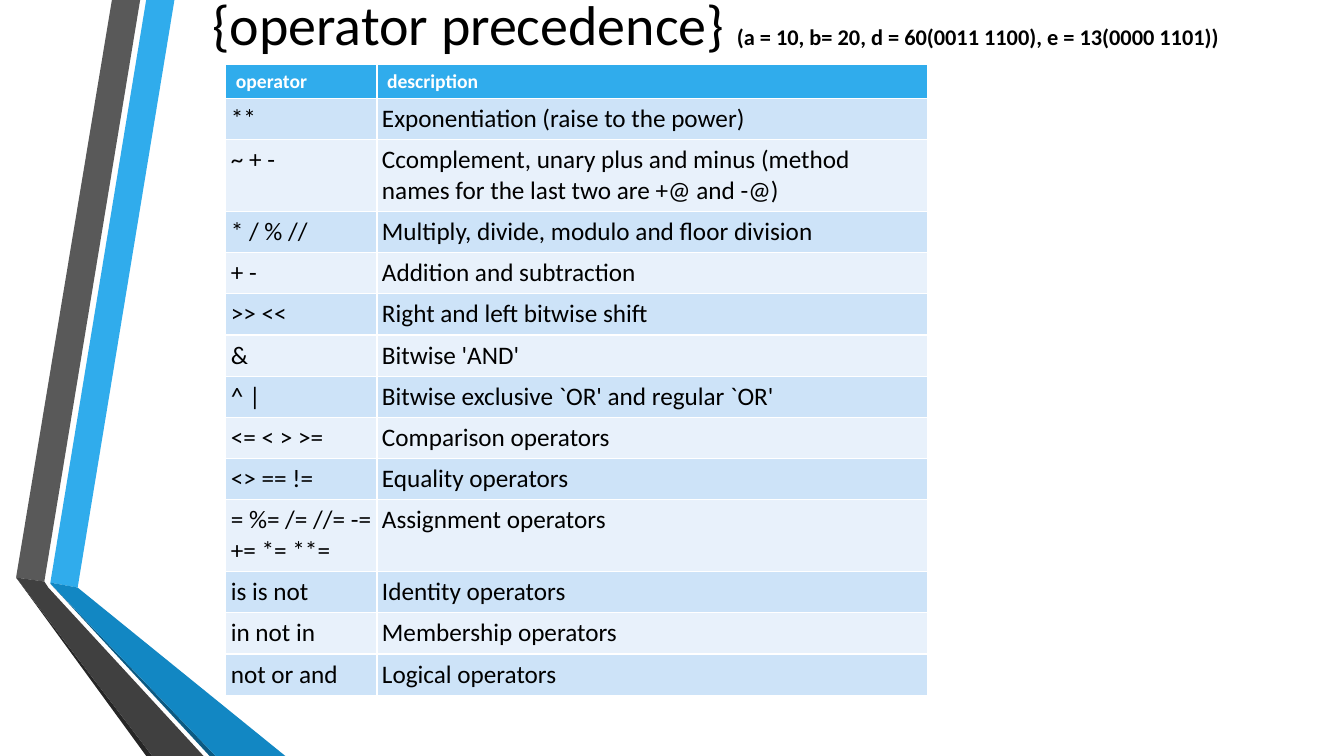
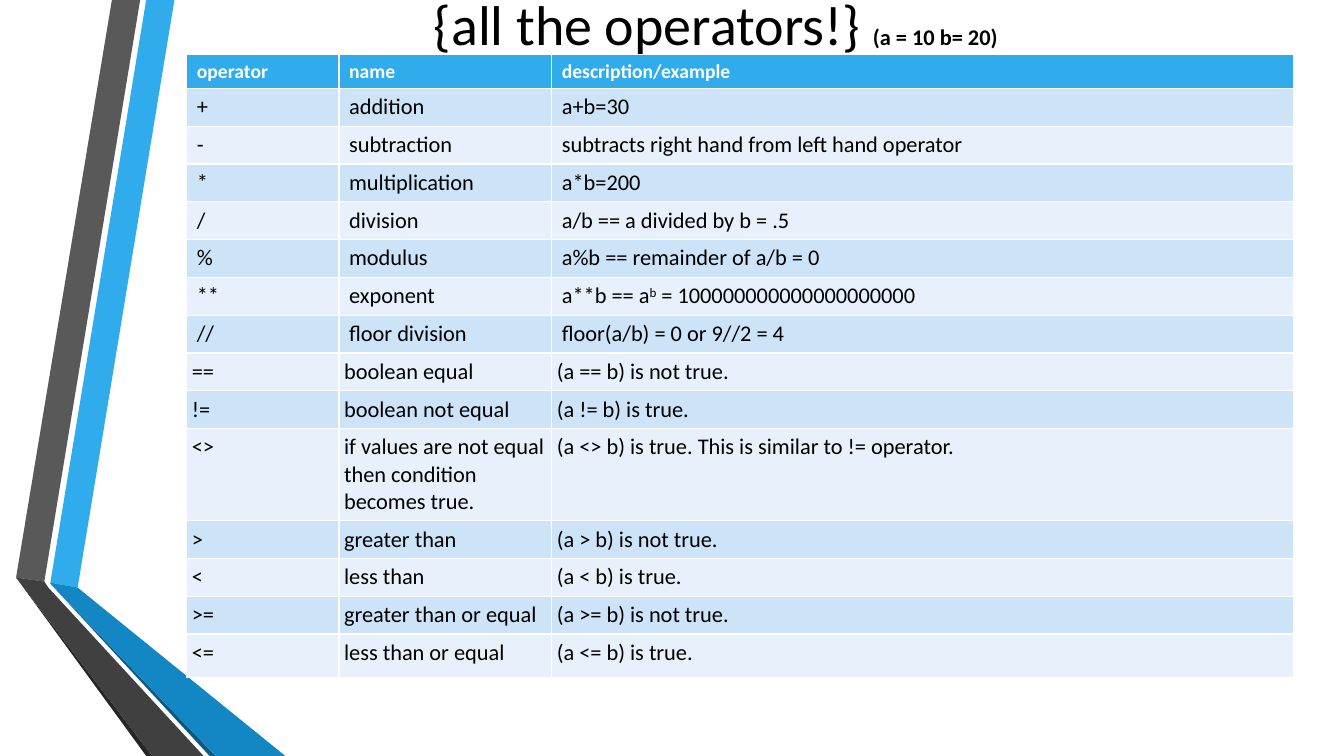
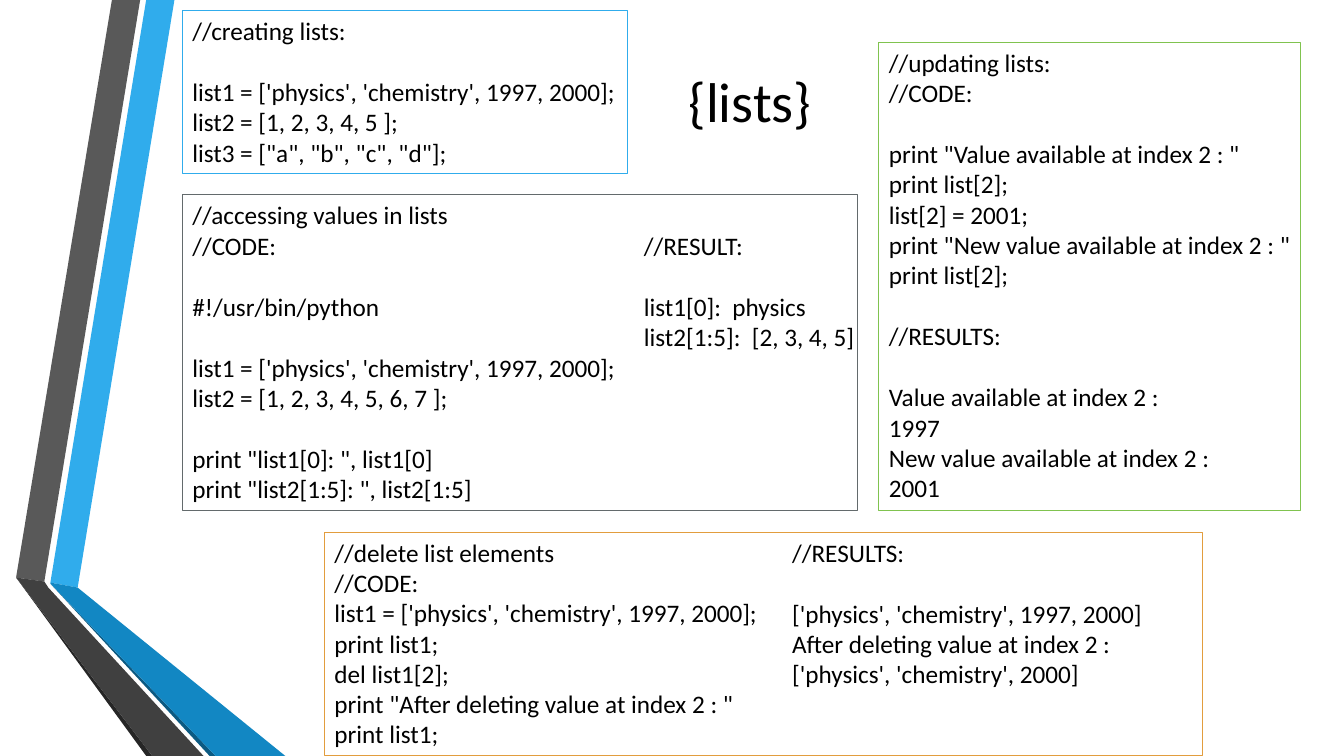
from typing import NamedTuple

from pptx import Presentation
from pptx.dml.color import RGBColor as RGB
from pptx.enum.shapes import MSO_SHAPE as Preset
from pptx.enum.text import MSO_ANCHOR as Anchor, MSO_AUTO_SIZE as AutoSize, PP_ALIGN as Align
from pptx.util import Inches, Pt

SLIDE_WIDTH, SLIDE_HEIGHT = Inches(13.333), Inches(7.5)
FONT = "Calibri"
TITLE_SIZE, NOTE_SIZE, HEADER_SIZE, CODE_SIZE = 40, 16, 14, 18
LINE_GAP = Pt(22)  # one empty line of code
WIDE_INSET, NARROW_INSET = Inches(0.1), Inches(0.05)

BLACK = RGB(0x00, 0x00, 0x00)
WHITE = RGB(0xFF, 0xFF, 0xFF)
BLUE = RGB(0x30, 0xAC, 0xEC)
MID_BLUE = RGB(0x12, 0x87, 0xC3)
DEEP_BLUE = RGB(0x0C, 0x5A, 0x82)
GREY = RGB(0x59, 0x59, 0x59)
DARK_GREY = RGB(0x40, 0x40, 0x40)
DEEP_GREY = RGB(0x26, 0x26, 0x26)
SLATE = RGB(0x63, 0x6A, 0x6C)
GREEN = RGB(0x80, 0xC3, 0x4F)
ORANGE = RGB(0xE2, 0x9D, 0x3E)
ROW_FILLS = (RGB(0xCD, 0xE3, 0xF8), RGB(0xE8, 0xF1, 0xFB))


# Lengths are percentages of the slide's width and height.
def across(share: float) -> int:
    return round(SLIDE_WIDTH * share / 100)


def down(share: float) -> int:
    return round(SLIDE_HEIGHT * share / 100)


class Area(NamedTuple):
    left: float
    top: float
    width: float
    height: float

    def emu(self) -> tuple:
        return across(self.left), down(self.top), across(self.width), down(self.height)


class Span(NamedTuple):
    text: str
    size: int | None = None
    bold: bool | None = None
    raised: bool = False


class Band(NamedTuple):
    color: RGB
    points: tuple


class Grid(NamedTuple):
    left: float
    top: float
    columns: tuple
    rows: tuple
    size: int
    wide_rows: int  # leading rows, header included, with the wide inset
    tall_rows: dict
    row_height: float


class CodeBox(NamedTuple):
    area: Area
    line: RGB | None
    groups: tuple  # groups of lines, an empty line apart


# Folded ribbons at the left edge
BANDS = (
    Band(BLUE, ((3.75, 77.07), (5.78, 77.73), (12.98, 0), (10.88, 0))),
    Band(GREY, ((10.43, 0), (8.33, 0), (1.2, 76.4), (3.3, 76.93))),
    Band(DEEP_GREY, ((1.2, 76.4), (10.88, 100), (11.33, 100))),
    Band(DEEP_BLUE, ((3.75, 77.2), (15.6, 100), (16.05, 100))),
    Band(MID_BLUE, ((3.75, 77.07), (3.75, 77.2), (16.05, 100), (21.23, 100), (5.78, 77.73))),
    Band(DARK_GREY, ((15.15, 100), (3.6, 77.73), (3.3, 76.93), (1.2, 76.4), (11.33, 100))),
)

TOP_TITLE = Area(12.15, -2.53, 82.2, 11.07)
LISTS_TITLE = Area(14.7, 6.93, 82.2, 12.53)

PRECEDENCE = Grid(
    left=16.8, top=8.53, columns=(11.25, 40.95), size=18, wide_rows=1,
    tall_rows={2: 9.5, 10: 9.5}, row_height=5.45,
    rows=(
        ("operator", "description"),
        ("**", "Exponentiation (raise to the power)"),
        ("~ + -", "Ccomplement, unary plus and minus (method names for the last two are +@ and -@)"),
        ("* / % //", "Multiply, divide, modulo and floor division"),
        ("+ -", "Addition and subtraction"),
        (">> <<", "Right and left bitwise shift"),
        ("&", "Bitwise 'AND'"),
        ("^ |", "Bitwise exclusive `OR' and regular `OR'"),
        ("<= < > >=", "Comparison operators"),
        ("<> == !=", "Equality operators"),
        ("= %= /= //= -= += *= **=", "Assignment operators"),
        ("is is not", "Identity operators"),
        ("in not in", "Membership operators"),
        ("not or and", "Logical operators"),
    ),
)

POWER = (Span("a**b == a"), Span("b", raised=True), Span(" = 100000000000000000000"))
OPERATORS = Grid(
    left=13.9, top=7.2, columns=(11.33, 15.83, 55.2), size=16, wide_rows=8,
    tall_rows={10: 12.2, 14: 5.75}, row_height=5,
    rows=(
        ("operator", "name", "description/example"),
        ("+", "addition", "a+b=30"),
        ("-", "subtraction", "subtracts right hand from left hand operator"),
        ("*", "multiplication", "a*b=200"),
        ("/", "division", "a/b == a divided by b = .5"),
        ("%", "modulus", "a%b == remainder of a/b = 0"),
        ("**", "exponent", POWER),
        ("//", "floor division", "floor(a/b) = 0 or 9//2 = 4"),
        ("==", "boolean equal", "(a == b) is not true."),
        ("!=", "boolean not equal", "(a != b) is true."),
        ("<>", "if values are not equal then condition becomes true.",
         "(a <> b) is true. This is similar to != operator."),
        (">", "greater than", "(a > b) is not true."),
        ("<", "less than", "(a < b) is true."),
        (">=", "greater than or equal", "(a >= b) is not true."),
        ("<=", "less than or equal", "(a <= b) is true."),
    ),
)

SUBJECTS = "list1 = ['physics', 'chemistry', 1997, 2000];"
CODE_BOXES = (
    CodeBox(Area(13.57, 1.39, 33.1, 21.6), BLUE, (
        ("//creating lists:",),
        (SUBJECTS, "list2 = [1, 2, 3, 4, 5 ];", 'list3 = ["a", "b", "c", "d"];'),
    )),
    CodeBox(Area(13.57, 25.75, 50.2, 41.75), SLATE, (
        ("//accessing values in lists", "//CODE:"),
        ("#!/usr/bin/python",),
        (SUBJECTS, "list2 = [1, 2, 3, 4, 5, 6, 7 ];"),
        ('print "list1[0]: ", list1[0]', 'print "list2[1:5]: ", list2[1:5]'),
    )),
    CodeBox(Area(47.17, 29.8, 18, 17.6), None, (
        ("//RESULT:",),
        ("list1[0]:  physics", "list2[1:5]:  [2, 3, 4, 5]"),
    )),
    CodeBox(Area(65.4, 5.6, 31.4, 61.9), GREEN, (
        ("//updating lists:", "//CODE:"),
        ('print "Value available at index 2 : "', "print list[2];", "list[2] = 2001;",
         'print "New value available at index 2 : "', "print list[2];"),
        ("//RESULTS:",),
        ("Value available at index 2 :", "1997", "New value available at index 2 :", "2001"),
    )),
    CodeBox(Area(24.15, 70.4, 65.3, 29.6), ORANGE, (
        ("//delete list elements", "//CODE:", SUBJECTS, "print list1;", "del list1[2];",
         'print "After deleting value at index 2 : "', "print list1;"),
    )),
    CodeBox(Area(58.2, 70.4, 27.7, 21.6), None, (
        ("//RESULTS:",),
        ("['physics', 'chemistry', 1997, 2000]", "After deleting value at index 2 :",
         "['physics', 'chemistry', 2000]"),
    )),
)


def write(para, content, size: int, color: RGB = BLACK, bold: bool = False) -> None:
    """Write a string or several spans into one paragraph."""
    font = para.font
    font.name, font.size, font.bold = FONT, Pt(size), bold
    font.color.rgb = color
    for part in (Span(content),) if isinstance(content, str) else content:
        span = para.add_run()
        span.text = part.text
        if part.size:
            span.font.size = Pt(part.size)
        if part.bold:
            span.font.bold = True
        if part.raised:
            span._r.get_or_add_rPr().set("baseline", "30000")


def add_bands(page, layout) -> None:
    """Draw the ribbons once and hand them to the shared layout."""
    for holder in list(layout.placeholders)[1:]:
        layout.shapes.element.remove(holder.element)
    ribbons = []
    for band in BANDS:
        start, *others = [(across(x), down(y)) for x, y in band.points]
        builder = page.shapes.build_freeform(*start, scale=1.0)
        builder.add_line_segments(others, close=True)
        ribbon = builder.convert_to_shape()
        ribbon.fill.solid()
        ribbon.fill.fore_color.rgb = band.color
        ribbon.line.fill.background()
        ribbon.shadow.inherit = False
        ribbons.append(ribbon)
    for ribbon in ribbons:
        layout.shapes.element.append(ribbon.element)


def set_title(page, area: Area, text: str, note: str = "") -> None:
    title = page.shapes.title
    title.left, title.top, title.width, title.height = area.emu()
    frame = title.text_frame
    frame.word_wrap, frame.auto_size = True, AutoSize.NONE
    frame.vertical_anchor = Anchor.MIDDLE
    para = frame.paragraphs[0]
    para.alignment = Align.CENTER
    spans = (Span(text + " "), Span(note, NOTE_SIZE, True)) if note else text
    write(para, spans, TITLE_SIZE)


def add_grid(page, grid: Grid) -> None:
    heights = [grid.tall_rows.get(i, grid.row_height) for i in range(len(grid.rows))]
    heights[0] = 4.5
    area = Area(grid.left, grid.top, sum(grid.columns), sum(heights))
    table = page.shapes.add_table(len(grid.rows), len(grid.columns), *area.emu()).table
    for column, width in zip(table.columns, grid.columns):
        column.width = across(width)
    for i, texts in enumerate(grid.rows):
        table.rows[i].height = down(heights[i])
        for cell, text in zip(table.rows[i].cells, texts):
            inset = WIDE_INSET if i < grid.wide_rows else NARROW_INSET
            cell.margin_left = cell.margin_right = inset
            cell.fill.solid()
            cell.fill.fore_color.rgb = ROW_FILLS[(i - 1) % 2] if i else BLUE
            para = cell.text_frame.paragraphs[0]
            if i:
                write(para, text, grid.size)
            else:
                write(para, text, HEADER_SIZE, WHITE, bold=True)


def add_code_box(page, code: CodeBox) -> None:
    if code.line:
        box = page.shapes.add_shape(Preset.RECTANGLE, *code.area.emu())
        box.fill.background()
        box.line.color.rgb = code.line
        box.line.width = Pt(0.75)
        box.shadow.inherit = False
    else:
        box = page.shapes.add_textbox(*code.area.emu())
    frame = box.text_frame
    frame.word_wrap = True
    frame.vertical_anchor = Anchor.TOP
    frame.margin_right = Inches(0.02)
    para = frame.paragraphs[0]
    for g, group in enumerate(code.groups):
        for i, line in enumerate(group):
            if g or i:
                para = frame.add_paragraph()
            para.alignment = Align.LEFT
            if g and not i:
                para.space_before = LINE_GAP
            write(para, line, CODE_SIZE)


def main() -> None:
    deck = Presentation()
    deck.slide_width, deck.slide_height = SLIDE_WIDTH, SLIDE_HEIGHT
    layout = deck.slide_layouts.get_by_name("Title Only")
    precedence, operators, lists = [deck.slides.add_slide(layout) for _ in range(3)]
    add_bands(precedence, layout)

    # Operator precedence
    set_title(precedence, TOP_TITLE, "{operator precedence}",
              "(a = 10, b= 20, d = 60(0011 1100), e = 13(0000 1101))")
    add_grid(precedence, PRECEDENCE)

    # All operators
    set_title(operators, TOP_TITLE, "{all the operators!}", "(a = 10 b= 20)")
    add_grid(operators, OPERATORS)

    # Lists
    set_title(lists, LISTS_TITLE, "{lists}")
    for code in CODE_BOXES:
        add_code_box(lists, code)

    deck.save("out.pptx")


if __name__ == "__main__":
    main()
